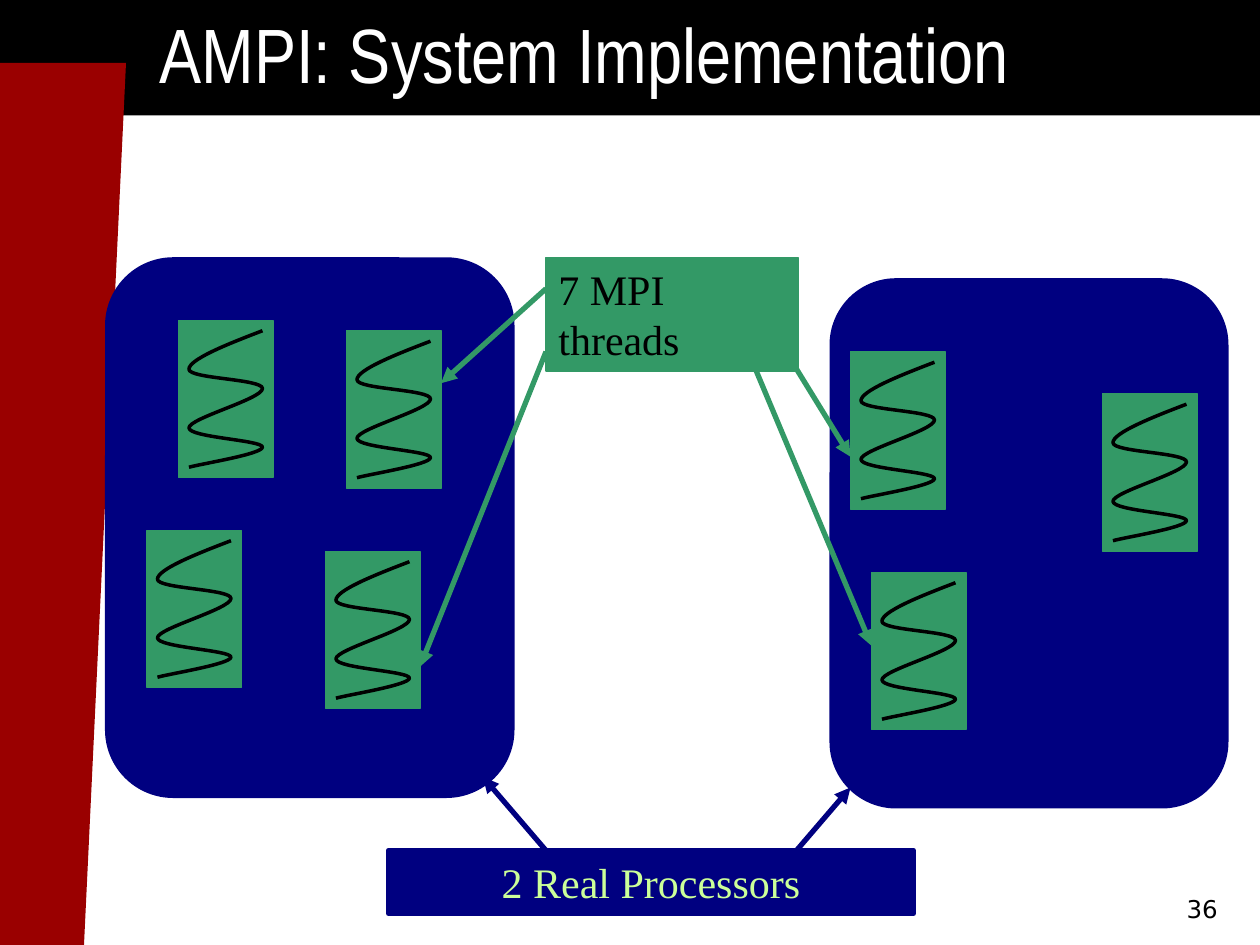
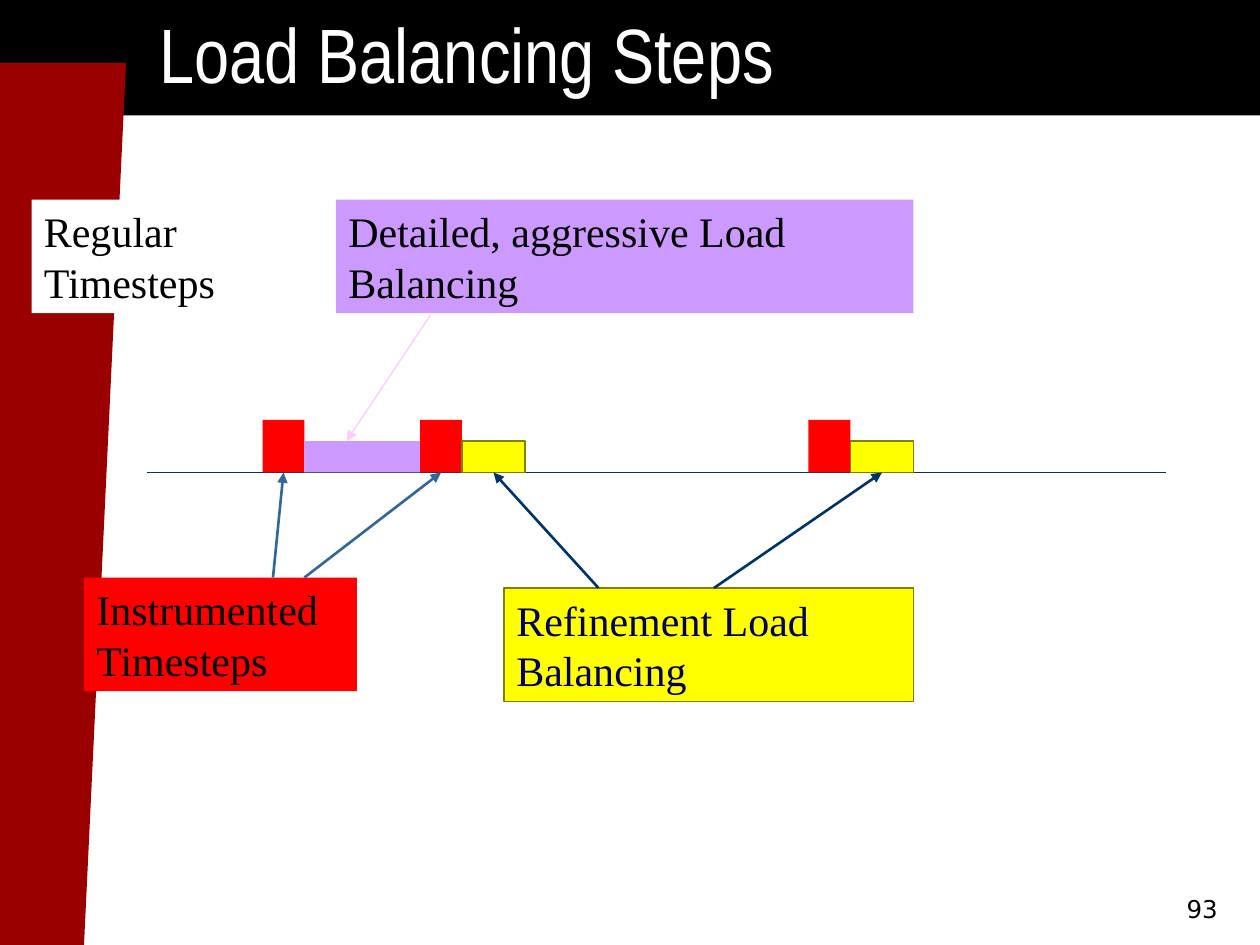
import pptx
import pptx.dml.color
import pptx.enum.shapes
import pptx.enum.text
import pptx.oxml.ns
import pptx.util
from lxml import etree

Pt = pptx.util.Pt
qn = pptx.oxml.ns.qn
SHAPE = pptx.enum.shapes.MSO_SHAPE
ALIGN = pptx.enum.text.PP_ALIGN
ANCHOR = pptx.enum.text.MSO_ANCHOR

COLORS = {
    "black": "000000",
    "white": "FFFFFF",
    "side_band": "9A0000",
    "processor": "000080",
    "processor_text": "CCFF99",
    "thread": "339966",
    "instrumented": "FF0000",
    "instrumented_arrow": "336699",
    "detailed": "CC99FF",
    "detailed_arrow": "FFCCFF",
    "refinement": "FFFF00",
    "refinement_edge": "808000",
    "refinement_text": "000066",
    "timeline": "003366",
}
THREAD_SIZE = (54, 90)
THREAD_CORNERS = [(102, 183), (198, 189), (186, 315), (84, 303),
                  (630, 225), (498, 327), (486, 201)]
THREAD_CURVE = [(42, 0), (21, 8), (0, 16.5), (0, 22),
                (0, 27.5), (42, 27.5), (42, 33),
                (42, 39), (0, 50), (0, 55.5),
                (0, 61), (42, 62.5), (42, 66.5),
                (42, 70.5), (7, 76), (0, 78)]
THREAD_MARGIN = 6
TIMELINE_Y = 270
LABEL_HEIGHT = 65


def rgb(name):
    return pptx.dml.color.RGBColor.from_string(COLORS[name])


def write(frame, text, font="Times New Roman", size=24, color="black",
          align=ALIGN.LEFT, anchor=ANCHOR.TOP):
    frame.word_wrap = True
    frame.auto_size = pptx.enum.text.MSO_AUTO_SIZE.NONE
    frame.vertical_anchor = anchor
    frame.text = text
    paragraph = frame.paragraphs[0]
    paragraph.alignment = align
    paragraph.font.name = font
    paragraph.font.size = Pt(size)
    paragraph.font.color.rgb = rgb(color)


def add_block(slide, box, fill, edge=None, edge_width=0.75, kind=SHAPE.RECTANGLE):
    block = slide.shapes.add_shape(kind, *map(Pt, box))
    block.shadow.inherit = False
    block.fill.solid()
    block.fill.fore_color.rgb = rgb(fill)
    if edge:
        block.line.color.rgb = rgb(edge)
        block.line.width = Pt(edge_width)
    else:
        block.line.fill.background()
    return block


def add_line(slide, start, end, color, width=0.75, arrow=True):
    line = slide.shapes.add_connector(
        pptx.enum.shapes.MSO_CONNECTOR.STRAIGHT, *map(Pt, start + end))
    line.line.color.rgb = rgb(color)
    line.line.width = Pt(width)
    if arrow:
        etree.SubElement(line.line._get_or_add_ln(), qn("a:tailEnd"), type="triangle")
    etree.SubElement(line._element.spPr, qn("a:effectLst"))


def add_curve(slide, points, color, width):
    start, *controls = [(Pt(x), Pt(y)) for x, y in points]
    builder = slide.shapes.build_freeform(*start)
    builder.add_line_segments(controls, close=False)
    curve = builder.convert_to_shape()
    curve.shadow.inherit = False
    curve.fill.background()
    curve.line.color.rgb = rgb(color)
    curve.line.width = Pt(width)
    outline = next(curve._element.iter(qn("a:path")))
    segments = iter(outline.findall(qn("a:lnTo")))
    for triple in zip(segments, segments, segments):
        bezier = etree.SubElement(outline, qn("a:cubicBezTo"))
        for segment in triple:
            bezier.append(segment[0])
            outline.remove(segment)


def add_thread(slide, left, top):
    add_block(slide, (left, top, *THREAD_SIZE), "thread", "thread")
    points = [(left + THREAD_MARGIN + x, top + THREAD_MARGIN + y)
              for x, y in THREAD_CURVE]
    add_curve(slide, points, "black", 2)


def add_bands(slide):
    top_band = add_block(slide, (0, 0, 720, 66), "black")
    side_band = add_block(slide, (-24, 36, 96, 504), "side_band",
                          kind=SHAPE.PARALLELOGRAM)
    side_band.adjustments[0] = 0.25
    layout_tree = slide.slide_layout.shapes._spTree
    for position, band in enumerate((top_band, side_band), start=2):
        layout_tree.insert(position, band._element)


def add_slide(deck, title, number):
    slide = deck.slides.add_slide(deck.slide_layouts[5])
    heading = slide.shapes.title
    heading.left, heading.top, heading.width, heading.height = map(Pt, (84, 0, 631, 60))
    write(heading.text_frame, title, font="Arial Narrow", size=44, color="white",
          anchor=ANCHOR.BOTTOM)
    page = slide.shapes.add_textbox(*map(Pt, (553, 495, 150, 36)))
    write(page.text_frame, number, font="DejaVu Sans", size=14,
          align=ALIGN.RIGHT, anchor=ANCHOR.BOTTOM)
    return slide


def fill_implementation(slide):
    for processor in ((474, 159, 228, 303), (60, 147, 234, 309)):
        add_block(slide, processor, "processor", kind=SHAPE.ROUNDED_RECTANGLE)
    processors_label = add_block(slide, (222, 486, 300, 36), "processor", "processor", 3)
    write(processors_label.text_frame, "2 Real Processors",
          color="processor_text", align=ALIGN.CENTER)
    for start, end in (((312, 486), (276, 444)), ((450, 492), (486, 450))):
        add_line(slide, start, end, "processor", 3)

    threads_label = add_block(slide, (312, 147, 144, LABEL_HEIGHT), "thread", "thread")
    write(threads_label.text_frame, "7 MPI threads")
    for start, end in (((312, 165), (252, 219)), ((312, 201), (240, 381)),
                       ((420, 183), (498, 369)), ((438, 183), (486, 261))):
        add_line(slide, start, end, "thread", 3)
    for left, top in THREAD_CORNERS:
        add_thread(slide, left, top)


def fill_balancing(slide):
    add_line(slide, (84, TIMELINE_Y), (666, TIMELINE_Y), "timeline", arrow=False)
    for left, width, height, fill, edge in (
            (150, 24, 30, "instrumented", None),
            (174, 66, 18, "detailed", None),
            (240, 24, 30, "instrumented", None),
            (264, 36, 18, "refinement", "refinement_edge"),
            (462, 24, 30, "instrumented", None),
            (486, 36, 18, "refinement", "refinement_edge")):
        add_block(slide, (left, TIMELINE_Y - height, width, height), fill, edge)

    for text, left, top, width, fill, edge, color in (
            ("Regular Timesteps", 18, 114, 162, "white", None, "black"),
            ("Instrumented Timesteps", 48, 330, 156, "instrumented", None, "black"),
            ("Detailed, aggressive Load Balancing", 192, 114, 330,
             "detailed", None, "black"),
            ("Refinement Load Balancing", 288, 336, 234,
             "refinement", "refinement_edge", "refinement_text")):
        label = add_block(slide, (left, top, width, LABEL_HEIGHT), fill, edge)
        write(label.text_frame, text, color=color)

    for start, end, color, width in (
            ((156, 330), (162, TIMELINE_Y), "instrumented_arrow", 1.5),
            ((174, 330), (252, TIMELINE_Y), "instrumented_arrow", 1.5),
            ((342, 336), (282, TIMELINE_Y), "timeline", 1.5),
            ((408, 336), (504, TIMELINE_Y), "timeline", 1.5),
            ((246, 180), (198, 252), "detailed_arrow", 0.75)):
        add_line(slide, start, end, color, width)


def main():
    deck = pptx.Presentation()
    deck.slide_width, deck.slide_height = Pt(720), Pt(540)
    implementation = add_slide(deck, "AMPI: System Implementation", "36")
    add_bands(implementation)
    fill_implementation(implementation)
    fill_balancing(add_slide(deck, "Load Balancing Steps", "93"))
    deck.save("out.pptx")


if __name__ == "__main__":
    main()
